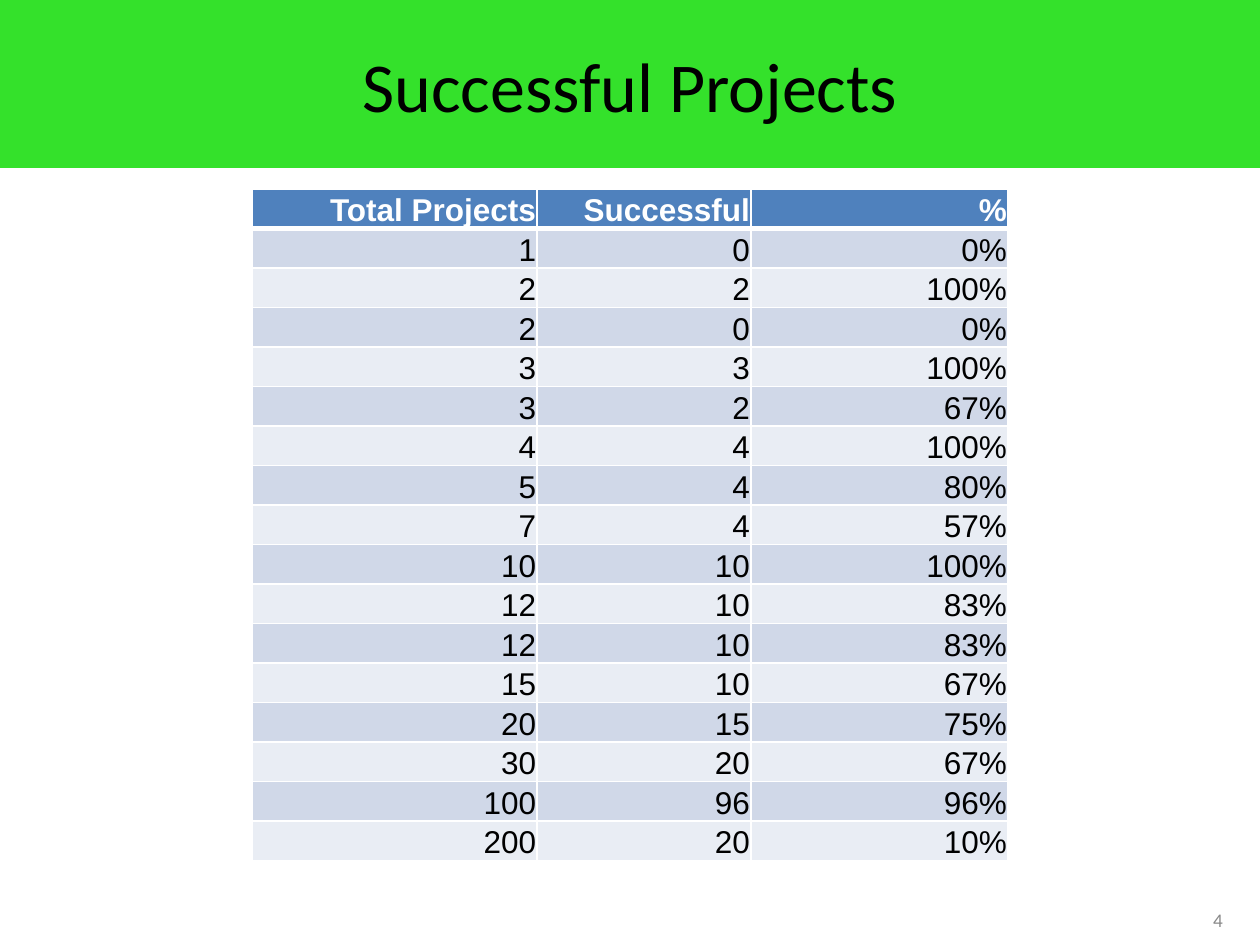
from dataclasses import dataclass
from lxml.etree import SubElement
from pptx import Presentation
from pptx.dml.color import RGBColor as Rgb
from pptx.enum.shapes import MSO_SHAPE as Shape
from pptx.enum.text import MSO_ANCHOR as Anchor, PP_ALIGN as Align
from pptx.oxml.ns import qn
from pptx.util import Pt

SCALE = 914400 / 126


@dataclass(frozen=True)
class Theme:
    banner: str = "34E12B"
    header: str = "4F81BD"
    bands: tuple = ("D0D8E8", "E9EDF4")
    white: str = "FFFFFF"
    black: str = "000000"
    grey: str = "898989"
    heading_font: str = "Calibri"
    table_font: str = "Arial"
    title_size: int = 40
    table_size: int = 18
    number_size: int = 11
    rule: int = 1
    header_rule: int = 3


THEME = Theme()
HEADINGS = ("Total Projects", "Successful", "%")
PROJECTS = (
    (1, 0), (2, 2), (2, 0), (3, 3), (3, 2), (4, 4), (5, 4), (7, 4),
    (10, 10), (12, 10), (12, 10), (15, 10), (20, 15), (30, 20),
    (100, 96), (200, 20),
)


def px(length):
    return round(length * SCALE)


def apply(target, values):
    for name, value in values.items():
        setattr(target, name, value)


def write(frame, text, align, color, **font):
    paragraph = frame.paragraphs[0]
    paragraph.alignment = align
    run = paragraph.add_run()
    run.text = text
    apply(run.font, font)
    run.font.color.rgb = Rgb.from_string(color)


def paint(fill, color):
    fill.solid()
    fill.fore_color.rgb = Rgb.from_string(color)


def add_banner(slide, box, title):
    banner = slide.shapes.add_shape(Shape.RECTANGLE, *map(px, box))
    banner.shadow.inherit = False
    paint(banner.fill, THEME.banner)
    banner.line.fill.background()
    apply(banner.text_frame, {"word_wrap": True, "vertical_anchor": Anchor.MIDDLE})
    write(banner.text_frame, title, Align.CENTER, THEME.black,
          name=THEME.heading_font, size=Pt(THEME.title_size))


def add_borders(cell, top, bottom):
    properties = cell._tc.get_or_add_tcPr()
    widths = {"lnL": THEME.rule, "lnR": THEME.rule, "lnT": top, "lnB": bottom}
    for side, width in widths.items():
        line = SubElement(properties, qn(f"a:{side}"), w=str(Pt(width)))
        fill = SubElement(line, qn("a:solidFill"))
        SubElement(fill, qn("a:srgbClr"), val=THEME.white)


def fill_cell(cell, text, row):
    is_header = row == 0
    add_borders(cell,
                THEME.header_rule if row == 1 else THEME.rule,
                THEME.header_rule if is_header else THEME.rule)
    paint(cell.fill, THEME.header if is_header else THEME.bands[(row - 1) % 2])
    apply(cell, {
        "margin_left": px(1), "margin_right": px(1), "margin_top": px(1),
        "margin_bottom": 0, "vertical_anchor": Anchor.BOTTOM,
    })
    write(cell.text_frame, text, Align.RIGHT,
          THEME.white if is_header else THEME.black,
          name=THEME.table_font, size=Pt(THEME.table_size), bold=is_header)


def add_project_table(slide, box, column_widths):
    records = [HEADINGS] + [
        (str(total), str(successful), f"{successful / total:.0%}")
        for total, successful in PROJECTS
    ]
    table = slide.shapes.add_table(
        len(records), len(HEADINGS), *map(px, box)).table
    for column, width in zip(table.columns, column_widths):
        column.width = px(width)
    for row in table.rows:
        row.height = px(box[3] / len(records))
    for row, record in enumerate(records):
        for column, text in enumerate(record):
            fill_cell(table.cell(row, column), text, row)


def add_page_number(slide, box, number):
    frame = slide.shapes.add_textbox(*map(px, box)).text_frame
    apply(frame, {"word_wrap": True, "vertical_anchor": Anchor.MIDDLE})
    write(frame, number, Align.CENTER, THEME.grey,
          name=THEME.heading_font, size=Pt(THEME.number_size))


def build():
    deck = Presentation()
    apply(deck, {"slide_width": px(1260), "slide_height": px(945)})
    slide = deck.slides.add_slide(deck.slide_layouts[6])
    add_banner(slide, (0, 0, 1260, 168), "Successful Projects")
    add_page_number(slide, (1176, 895, 84, 50), "4")
    add_project_table(slide, (252, 189, 756, 672), (285, 214, 257))
    deck.save("out.pptx")


build()
